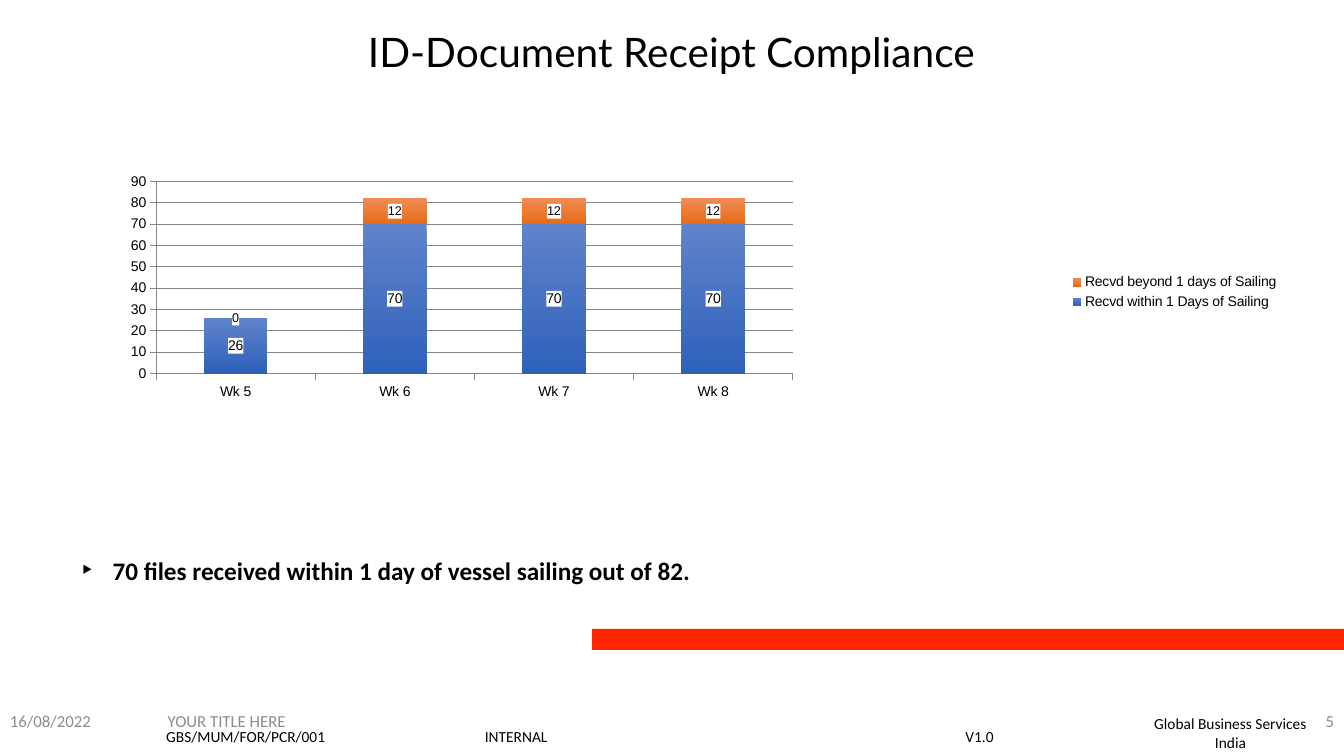
from dataclasses import dataclass
from lxml.etree import SubElement
from pptx import Presentation
from pptx.chart.data import CategoryChartData
from pptx.dml.color import RGBColor
from pptx.enum.chart import XL_CHART_TYPE, XL_LEGEND_POSITION, XL_TICK_MARK
from pptx.enum.shapes import MSO_SHAPE
from pptx.enum.text import MSO_ANCHOR, PP_ALIGN
from pptx.oxml import parse_xml
from pptx.oxml.ns import nsdecls, qn
from pptx.util import Cm, Pt

TITLE = "ID-Document Receipt Compliance"
FINDING = "70 files received within 1 day of vessel sailing out of 82."
DOCUMENT_LINE = ["GBS/MUM/FOR/PCR/001\tINTERNAL\tV1.0"]
DOCUMENT_TABS = [8.03, 20.14]
DEPARTMENT = ["Global Business Services", "India"]
FOOTERS = [
    ("16/08/2022", 0, 7.62, PP_ALIGN.LEFT),
    ("YOUR TITLE HERE", 0, 11.43, PP_ALIGN.CENTER),
    ("5", 26.25, 7.62, PP_ALIGN.RIGHT),
]
WEEKS = ["Wk 5", "Wk 6", "Wk 7", "Wk 8"]
RECEIPTS = [
    ("Recvd within 1 Days of Sailing", [26, 70, 70, 70], ("6083CB", "2E61BA"), 10),
    ("Recvd beyond 1 days of Sailing", [0, 12, 12, 12], ("F18C55", "E56B17"), 9),
]
PLOT_LAYOUT = {"x": 0.08, "y": 0.033, "w": 0.517, "h": 0.812}


@dataclass(frozen=True)
class Theme:
    black: str = "000000"
    white: str = "FFFFFF"
    red: str = "FF2500"
    muted: str = "8C8C8C"
    grid: str = "878787"
    body_font: str = "Calibri"
    title_font: str = "Lato"
    chart_font: str = "Arial"
    title_size: int = 29
    finding_size: int = 18
    footer_size: int = 12
    small_size: int = 11
    chart_size: int = 10


THEME = Theme()


def color(value):
    return RGBColor.from_string(value)


def style_font(font, name, size, ink, bold=False):
    font.name = name
    font.size = Pt(size)
    font.bold = bold
    font.color.rgb = color(ink)


def write(box, lines, size, ink=THEME.black, name=THEME.body_font,
          align=PP_ALIGN.LEFT, anchor=MSO_ANCHOR.TOP, bold=False):
    frame = box.text_frame
    frame.word_wrap = True
    frame.vertical_anchor = anchor
    for index, line in enumerate(lines):
        para = frame.add_paragraph() if index else frame.paragraphs[0]
        para.alignment = align
        span = para.add_run()
        span.text = line
        style_font(span.font, name, size, ink, bold)


def add_text(page, left, top, width, height, lines, size, **style):
    box = page.shapes.add_textbox(Cm(left), Cm(top), Cm(width), Cm(height))
    write(box, lines, size, **style)
    return box


def add_block(page, left, top, width, height, fill):
    block = page.shapes.add_shape(
        MSO_SHAPE.RECTANGLE, Cm(left), Cm(top), Cm(width), Cm(height))
    block.shadow.inherit = False
    block.fill.solid()
    block.fill.fore_color.rgb = color(fill)
    block.line.fill.background()
    return block


def add_document_line(page):
    box = add_text(page, 3.61, 18.19, 22.73, 0.58, DOCUMENT_LINE, THEME.small_size)
    box.text_frame.margin_left = Cm(0.58)
    properties = box.text_frame.paragraphs[0]._p.get_or_add_pPr()
    tabs = SubElement(properties, qn("a:tabLst"))
    for position in DOCUMENT_TABS:
        SubElement(tabs, qn("a:tab"), pos=str(Cm(position)), algn="l")


def add_finding(page):
    box = add_text(page, 1.8, 13.87, 29.87, 1.02, [FINDING],
                   THEME.finding_size, bold=True)
    properties = box.text_frame.paragraphs[0]._p.get_or_add_pPr()
    properties.set("marL", str(Cm(0.79)))
    properties.set("indent", str(-Cm(0.79)))
    bullet_color = SubElement(properties, qn("a:buClr"))
    SubElement(bullet_color, qn("a:srgbClr"), val=THEME.black)
    SubElement(properties, qn("a:buSzPct"), val="125000")
    SubElement(properties, qn("a:buFont"), typeface=THEME.chart_font)
    SubElement(properties, qn("a:buChar"), char="‣")


def place_plot(chart):
    area = chart._chartSpace.chart.plotArea
    for layout in area.findall(qn("c:layout")):
        area.remove(layout)
    places = "".join(f'<c:{key} val="{value}"/>' for key, value in PLOT_LAYOUT.items())
    area.insert(0, parse_xml(
        f'<c:layout {nsdecls("c")}><c:manualLayout><c:layoutTarget val="inner"/>'
        f'<c:xMode val="edge"/><c:yMode val="edge"/>{places}'
        '</c:manualLayout></c:layout>'))


def style_series(series, shades, label_size):
    fill = series.format.fill
    fill.gradient()
    fill.gradient_angle = 270
    for stop, shade, position in zip(fill.gradient_stops, shades, (0, 1)):
        stop.color.rgb = color(shade)
        stop.position = position
    labels = series.data_labels
    labels.show_value = True
    style_font(labels.font, THEME.chart_font, label_size, THEME.black)
    labels._element.find(qn("c:txPr")).addprevious(parse_xml(
        f'<c:spPr {nsdecls("c", "a")}><a:solidFill>'
        f'<a:srgbClr val="{THEME.white}"/></a:solidFill></c:spPr>'))


def add_receipt_chart(page):
    data = CategoryChartData()
    data.categories = WEEKS
    for name, values, _, _ in RECEIPTS:
        data.add_series(name, values)
    chart = page.shapes.add_chart(
        XL_CHART_TYPE.COLUMN_STACKED, Cm(1.45), Cm(4.37), Cm(31.04), Cm(5.97), data).chart
    chart.has_title = False
    style_font(chart.font, THEME.chart_font, THEME.chart_size, THEME.black)
    chart.has_legend = True
    chart.legend.position = XL_LEGEND_POSITION.RIGHT
    chart.legend.include_in_layout = False
    plot = chart.plots[0]
    plot.gap_width = 150
    plot.overlap = 100
    plot.vary_by_categories = False
    for series, (_, _, shades, label_size) in zip(plot.series, RECEIPTS):
        style_series(series, shades, label_size)
    for axis in (chart.category_axis, chart.value_axis):
        axis.major_tick_mark = XL_TICK_MARK.OUTSIDE
        axis.format.line.color.rgb = color(THEME.grid)
    values = chart.value_axis
    values.minimum_scale, values.maximum_scale, values.major_unit = 0, 90, 10
    values.major_gridlines.format.line.color.rgb = color(THEME.grid)
    place_plot(chart)


def main():
    deck = Presentation()
    deck.slide_width, deck.slide_height = Cm(33.87), Cm(19.05)
    page = deck.slides.add_slide(deck.slide_layouts[6])
    add_block(page, 14.92, 15.85, 18.95, 0.53, THEME.red)
    add_text(page, 28.47, 17.88, 5.08, 1.19, DEPARTMENT, THEME.small_size,
             align=PP_ALIGN.CENTER)
    add_document_line(page)
    for line, left, width, align in FOOTERS:
        add_text(page, left, 17.65, width, 1.02, [line], THEME.footer_size,
                 ink=THEME.muted, align=align, anchor=MSO_ANCHOR.MIDDLE)
    banner = add_block(page, 2.34, 0.66, 29.18, 1.27, THEME.white)
    write(banner, [TITLE], THEME.title_size, name=THEME.title_font,
          align=PP_ALIGN.CENTER, anchor=MSO_ANCHOR.MIDDLE)
    add_receipt_chart(page)
    add_finding(page)
    deck.save("out.pptx")


if __name__ == "__main__":
    main()
